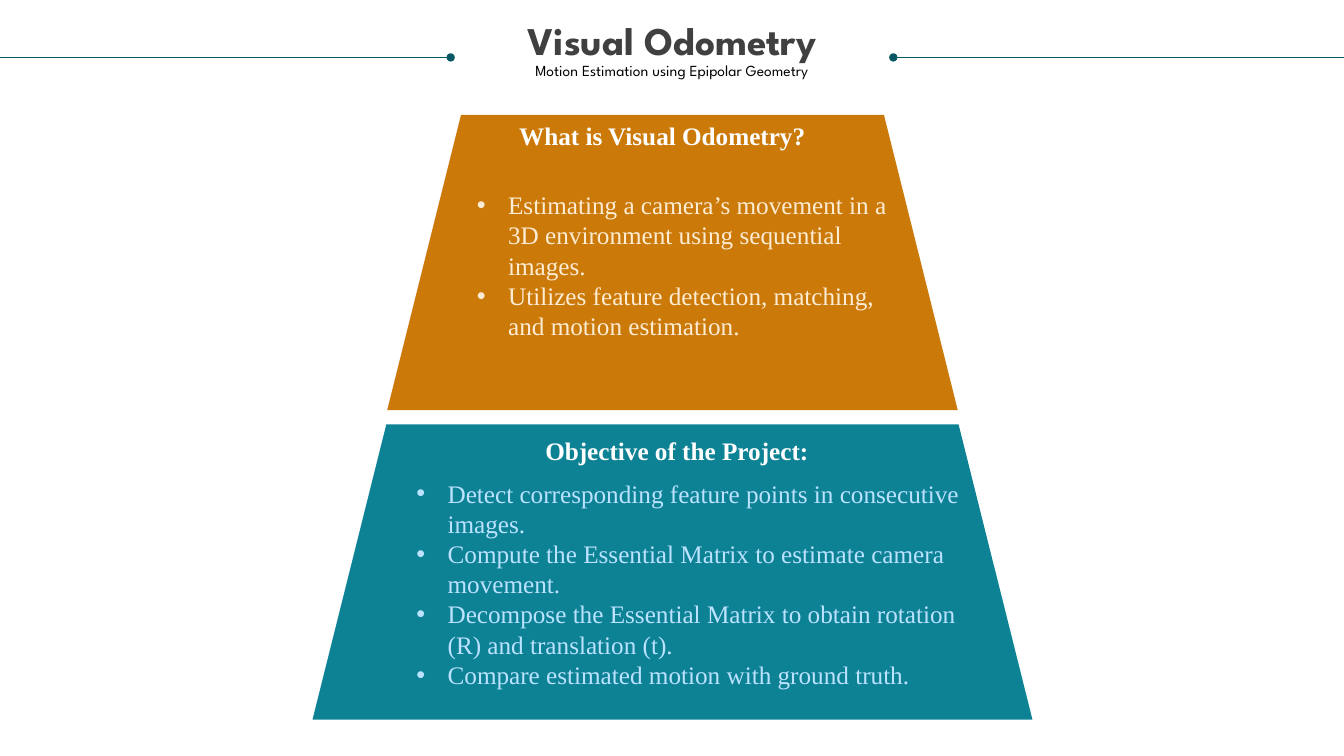
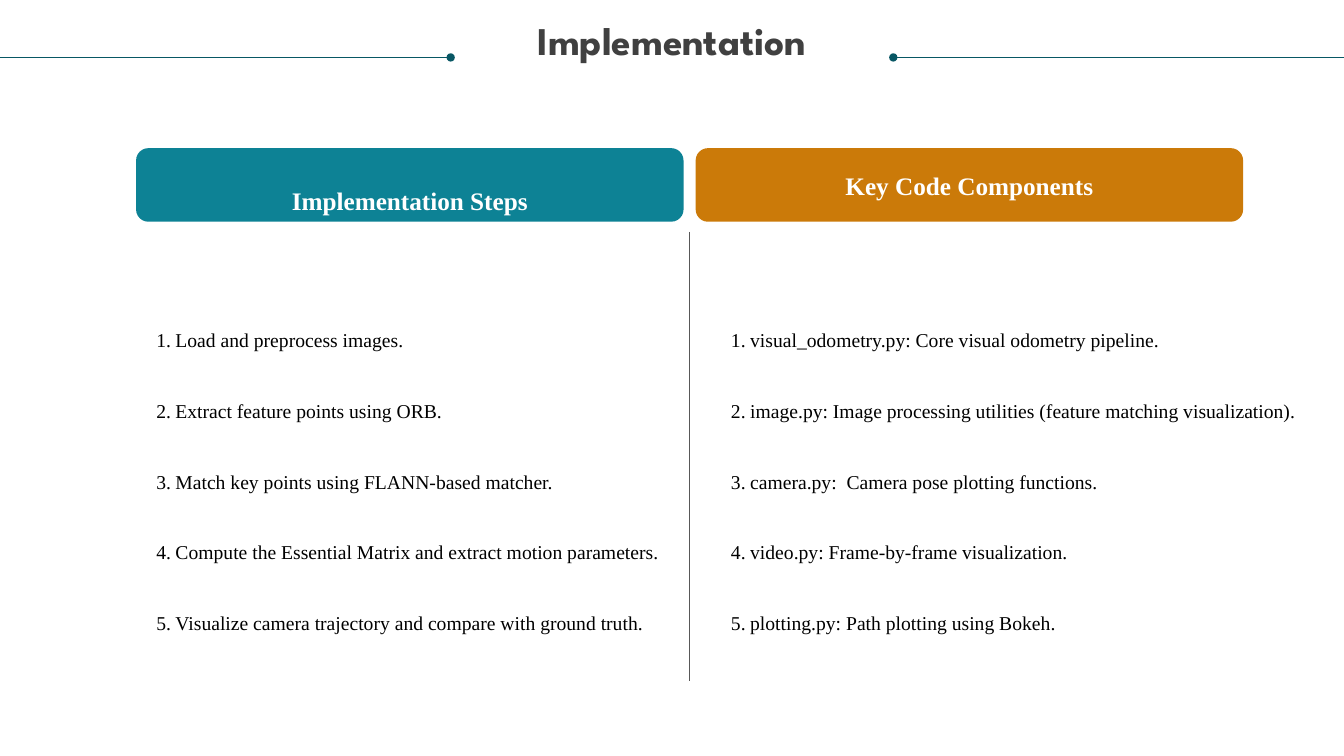
import lxml.etree
import pptx
import pptx.dml.color
import pptx.enum.shapes
import pptx.enum.text
import pptx.oxml.ns
import pptx.util

Inches = pptx.util.Inches
Shapes = pptx.enum.shapes.MSO_SHAPE
Align = pptx.enum.text.PP_ALIGN
Anchor = pptx.enum.text.MSO_ANCHOR

TEAL, ORANGE, DARK_TEAL = "0D8295", "CB7A09", "085764"
WHITE, BLACK, TITLE_GREY, DIVIDER_GREY = "FFFFFF", "000000", "404040", "585858"
CREAM, PALE_BLUE = "FDECD4", "BBE2FF"
TITLE_FONT, BODY_FONT = "League Spartan", "Times New Roman"
TWO_CONTENT_LAYOUT = 3


def rgb(hex_color):
    return pptx.dml.color.RGBColor.from_string(hex_color)


def add_xml(parent, tag, **attributes):
    child = lxml.etree.SubElement(parent, pptx.oxml.ns.qn(tag))
    for name, value in attributes.items():
        child.set(name, value)


class Deck:
    """Holds the shared style and the slide being filled."""

    def __init__(self):
        self.presentation = pptx.Presentation()
        self.presentation.slide_width = Inches(13.33)
        self.presentation.slide_height = Inches(7.5)
        self.slide = None

    def new_slide(self, title, subtitle=None):
        layout = self.presentation.slide_layouts[TWO_CONTENT_LAYOUT]
        self.slide = self.presentation.slides.add_slide(layout)
        for inner_x, edge_x in ((4.47, 0), (8.86, 13.33)):
            self.line((inner_x, 0.57), (edge_x, 0.57), DARK_TEAL, dot=True)
        heading = self.placeholder(0, (0.25, 0.21, 12.83, 1.01), inset=0)
        heading.vertical_anchor = Anchor.TOP
        self.add_text(heading.paragraphs[0], title, 28, TITLE_GREY, TITLE_FONT,
                      bold=True, align=Align.CENTER, spacing=0.9)
        if subtitle:
            self.add_text(heading.add_paragraph(), subtitle, 11, BLACK, TITLE_FONT,
                          align=Align.CENTER, spacing=0.9)

    def placeholder(self, index, box, inset=None):
        """Move a placeholder to box, in front of what is drawn so far."""
        holder = self.slide.placeholders[index]
        holder.left, holder.top, holder.width, holder.height = map(Inches, box)
        holder.element.getparent().append(holder.element)
        frame = holder.text_frame
        frame.word_wrap = True
        frame.auto_size = pptx.enum.text.MSO_AUTO_SIZE.NONE
        if inset is not None:
            frame.margin_left = frame.margin_right = Inches(inset)
            frame.margin_top = frame.margin_bottom = Inches(inset)
        return frame

    def add_text(self, paragraph, text, size, color, font=BODY_FONT, bold=False,
                 align=Align.LEFT, spacing=1.0):
        paragraph.alignment = align
        paragraph.line_spacing = spacing
        paragraph.space_before = paragraph.space_after = pptx.util.Pt(0)
        run = paragraph.add_run()
        run.text = text
        run.font.name = font
        run.font.size = pptx.util.Pt(size)
        run.font.bold = bold
        run.font.color.rgb = rgb(color)

    def line(self, start, end, color, dot=False):
        """Draw a thin line, with a dot at its start if asked."""
        connector = self.slide.shapes.add_connector(
            pptx.enum.shapes.MSO_CONNECTOR.STRAIGHT, *map(Inches, start + end))
        connector.line.color.rgb = rgb(color)
        connector.line.width = pptx.util.Pt(0.5)
        properties = connector.element.spPr
        if dot:
            add_xml(properties.find(pptx.oxml.ns.qn("a:ln")), "a:headEnd", type="oval")
        add_xml(properties, "a:effectLst")

    def panel(self, preset, box, color):
        panel = self.slide.shapes.add_shape(preset, *map(Inches, box))
        panel.shadow.inherit = False
        panel.fill.solid()
        panel.fill.fore_color.rgb = rgb(color)
        panel.line.fill.background()
        return panel.text_frame

    def banner(self, box, text, color, top_inset=0.05):
        frame = self.panel(Shapes.ROUNDED_RECTANGLE, box, color)
        frame.vertical_anchor = Anchor.MIDDLE
        frame.margin_top = Inches(top_inset)
        self.add_text(frame.paragraphs[0], text, 18, WHITE, bold=True, align=Align.CENTER)

    def label(self, box, text):
        frame = self.slide.shapes.add_textbox(*map(Inches, box)).text_frame
        frame.word_wrap = True
        self.add_text(frame.paragraphs[0], text, 18, WHITE, bold=True)

    def items(self, frame, entries, size, color, margin, hanging, spacing=1.0,
              numbered=False):
        for position, entry in enumerate(entries):
            paragraph = frame.add_paragraph() if position else frame.paragraphs[0]
            self.add_text(paragraph, entry, size, color, spacing=spacing)
            properties = paragraph._p.get_or_add_pPr()
            properties.set("marL", str(Inches(margin)))
            properties.set("indent", str(-Inches(hanging)))
            if numbered:
                add_xml(properties, "a:buFont", typeface=BODY_FONT)
                add_xml(properties, "a:buAutoNum", type="arabicPeriod")
            else:
                add_xml(properties, "a:buFont", typeface="Arial")
                add_xml(properties, "a:buChar", char="•")

    def bullets(self, index, box, entries, color):
        self.items(self.placeholder(index, box), entries, 18, color, 0.81, 0.31)

    def steps(self, index, box, entries):
        self.items(self.placeholder(index, box, inset=0), entries, 14, BLACK,
                   0.19, 0.19, spacing=3.0, numbered=True)


def add_overview(deck):
    deck.new_slide("Visual Odometry", "Motion Estimation using Epipolar Geometry")
    deck.panel(Shapes.TRAPEZOID, (3.84, 1.14, 5.66, 2.93), ORANGE)
    deck.panel(Shapes.TRAPEZOID, (3.1, 4.21, 7.14, 2.93), TEAL)
    deck.label((5.05, 1.14, 3.23, 0.4), "What is Visual Odometry?")
    deck.bullets(1, (4.13, 1.83, 4.81, 1.62), [
        "Estimating a camera’s movement in a 3D environment using sequential images.",
        "Utilizes feature detection, matching, and motion estimation.",
    ], CREAM)
    deck.label((5.31, 4.27, 2.89, 0.4), "Objective of the Project:")
    deck.bullets(2, (3.53, 4.69, 6.14, 2.22), [
        "Detect corresponding feature points in consecutive images.",
        "Compute the Essential Matrix to estimate camera movement.",
        "Decompose the Essential Matrix to obtain rotation (R) and translation (t).",
        "Compare estimated motion with ground truth.",
    ], PALE_BLUE)


def add_implementation(deck):
    deck.new_slide("Implementation")
    deck.banner((1.35, 1.47, 5.43, 0.73), "Implementation Steps", TEAL, top_inset=0.35)
    deck.banner((6.9, 1.47, 5.43, 0.73), "Key Code Components", ORANGE)
    deck.line((6.84, 2.3), (6.84, 6.76), DIVIDER_GREY)
    deck.steps(1, (1.55, 2.79, 5.01, 3.4), [
        "Load and preprocess images.",
        "Extract feature points using ORB.",
        "Match key points using FLANN-based matcher.",
        "Compute the Essential Matrix and extract motion parameters.",
        "Visualize camera trajectory and compare with ground truth.",
    ])
    deck.steps(2, (7.25, 2.79, 5.69, 3.4), [
        "visual_odometry.py: Core visual odometry pipeline.",
        "image.py: Image processing utilities (feature matching visualization).",
        "camera.py:  Camera pose plotting functions.",
        "video.py: Frame-by-frame visualization.",
        "plotting.py: Path plotting using Bokeh.",
    ])


def main():
    deck = Deck()
    add_overview(deck)
    add_implementation(deck)
    deck.presentation.save("out.pptx")


if __name__ == "__main__":
    main()
